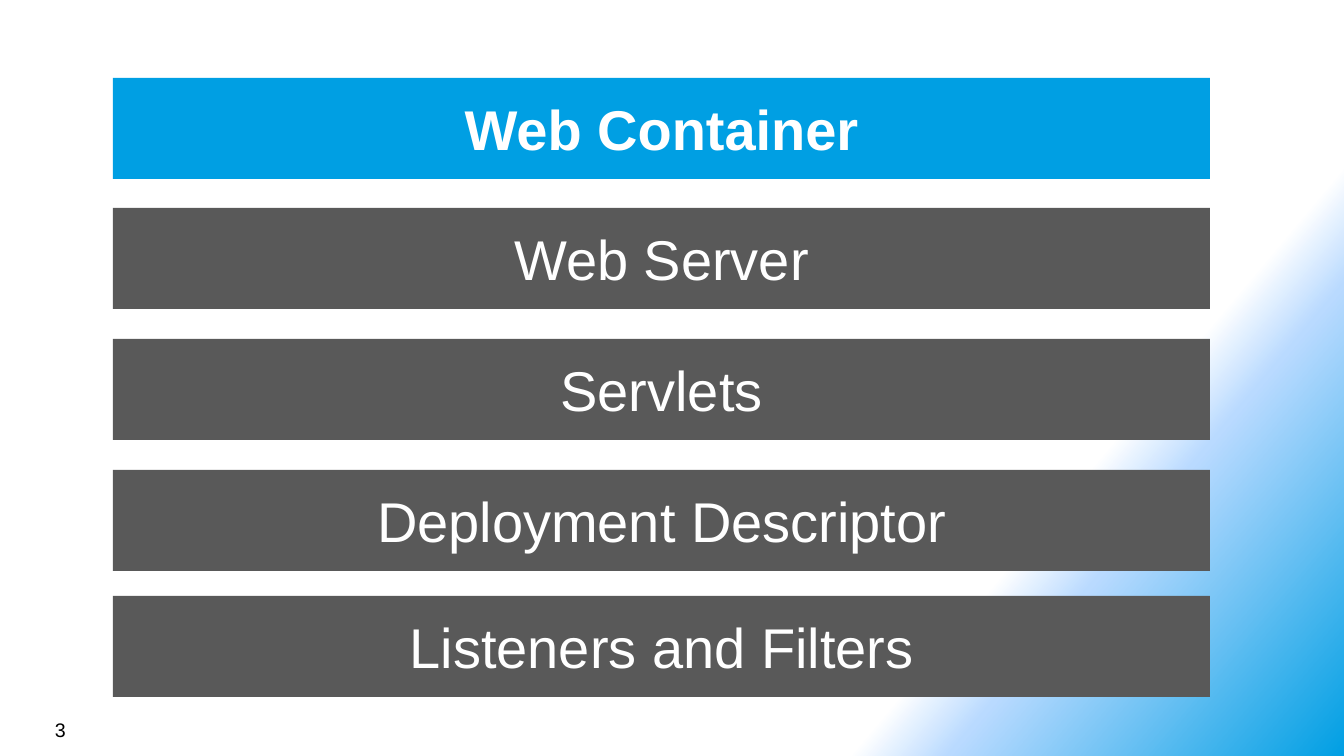
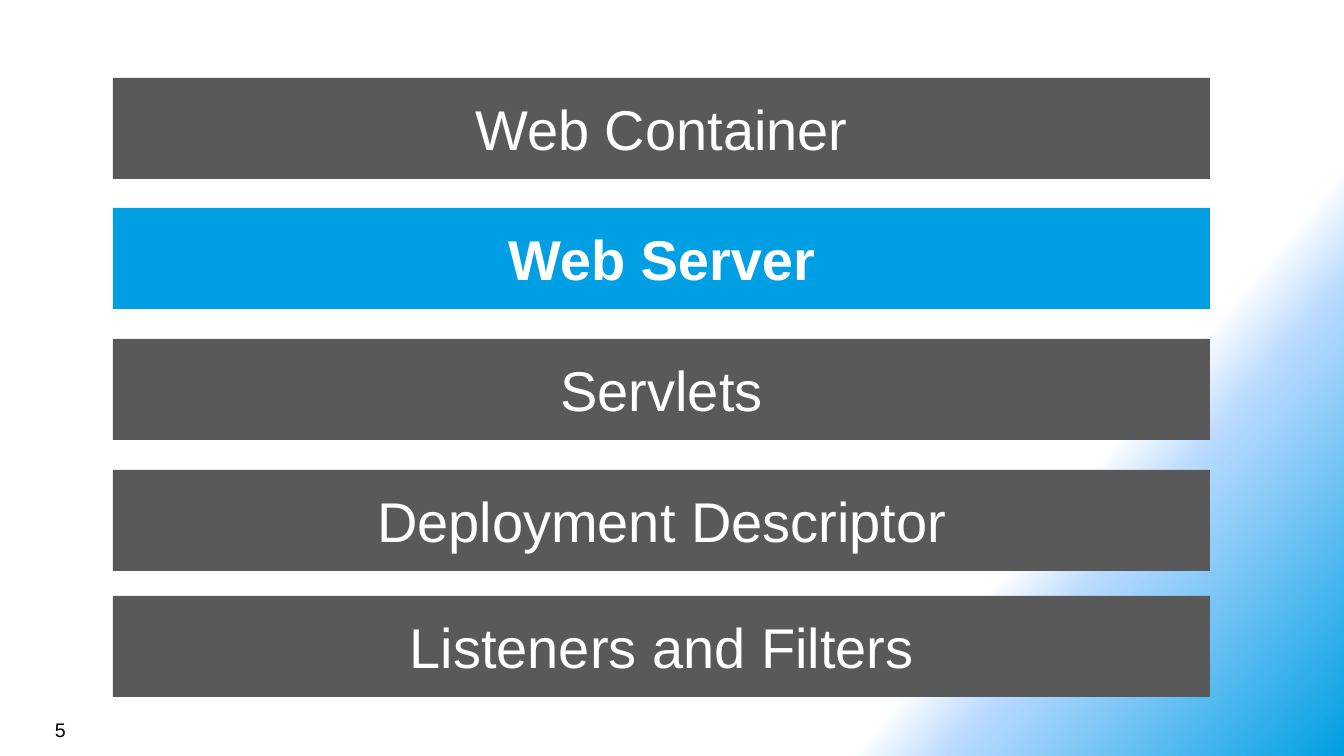
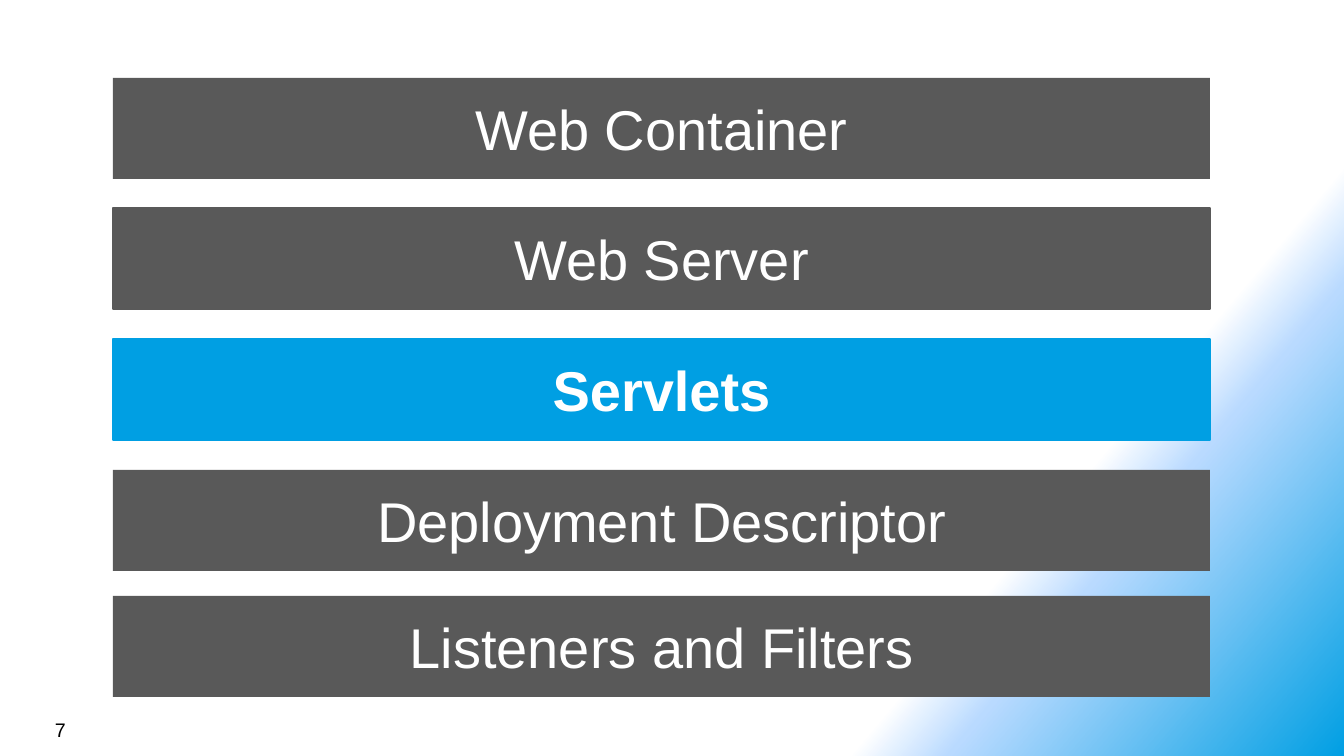
from copy import deepcopy

from pptx import Presentation
from pptx.dml.color import RGBColor
from pptx.enum import shapes, text
from pptx.oxml.ns import qn
from pptx.util import Emu, Pt

WHITE = RGBColor(0xFF, 0xFF, 0xFF)
BLACK = RGBColor(0, 0, 0)
PALE = RGBColor(0xB9, 0xDA, 0xFF)
BLUE = RGBColor(0x00, 0x9F, 0xE3)
GRAY = RGBColor(0x59, 0x59, 0x59)
PIXEL = 914400 / 100.8

TOPICS = {
    "Web Container": 78,
    "Web Server": 208,
    "Servlets": 339,
    "Deployment Descriptor": 470,
    "Listeners and Filters": 596,
}
PAGES = [
    ("3", "Web Container", ()),
    ("5", "Web Server", ()),
    ("7", "Servlets", ("Web Server", "Servlets")),
]


def px(*sizes):
    return [Emu(round(size * PIXEL)) for size in sizes]


class Deck:
    """Agenda slides in one shared style."""

    def __init__(self):
        self.prs = Presentation()
        self.prs.slide_width, self.prs.slide_height = px(1344, 756)
        self.paint()

    def paint(self):
        master = self.prs.slide_master
        fill = master.background.fill
        fill.gradient()
        fill.gradient_angle = 320
        stops = master.element.find(".//" + qn("a:gsLst"))
        stops.append(deepcopy(stops[-1]))
        shades = [(0.75, WHITE), (0.8, PALE), (1, BLUE)]
        for stop, (place, color) in zip(fill.gradient_stops, shades):
            stop.position = place
            stop.color.rgb = color

    def page(self, number):
        self.slide = self.prs.slides.add_slide(self.prs.slide_layouts[6])
        box = self.slide.shapes.add_textbox(*px(45, 713, 313, 33))
        box.text_frame.word_wrap = True
        self.label(box, number, 14, BLACK)

    def label(self, shape, words, size, color, bold=False):
        para = shape.text_frame.paragraphs[0]
        para.text = words
        font = para.font
        font.name, font.size, font.bold = "Arial", Pt(size), bold
        font.color.rgb = color
        return para

    def bar(self, words, top, active, edged):
        shape = self.slide.shapes.add_shape(
            shapes.MSO_SHAPE.RECTANGLE, *px(113, top, 1097, 101))
        shape.shadow.inherit = False
        color = BLUE if active else GRAY
        shape.fill.solid()
        shape.fill.fore_color.rgb = color
        if edged:
            shape.line.color.rgb = color
            shape.line.width = Pt(1)
        else:
            shape.line.fill.background()
        shape.text_frame.vertical_anchor = text.MSO_ANCHOR.MIDDLE
        para = self.label(shape, words, 40, WHITE, active)
        para.alignment = text.PP_ALIGN.CENTER


deck = Deck()
for number, current, edged in PAGES:
    deck.page(number)
    for topic, top in TOPICS.items():
        deck.bar(topic, top, topic == current, topic in edged)
deck.prs.save("out.pptx")
